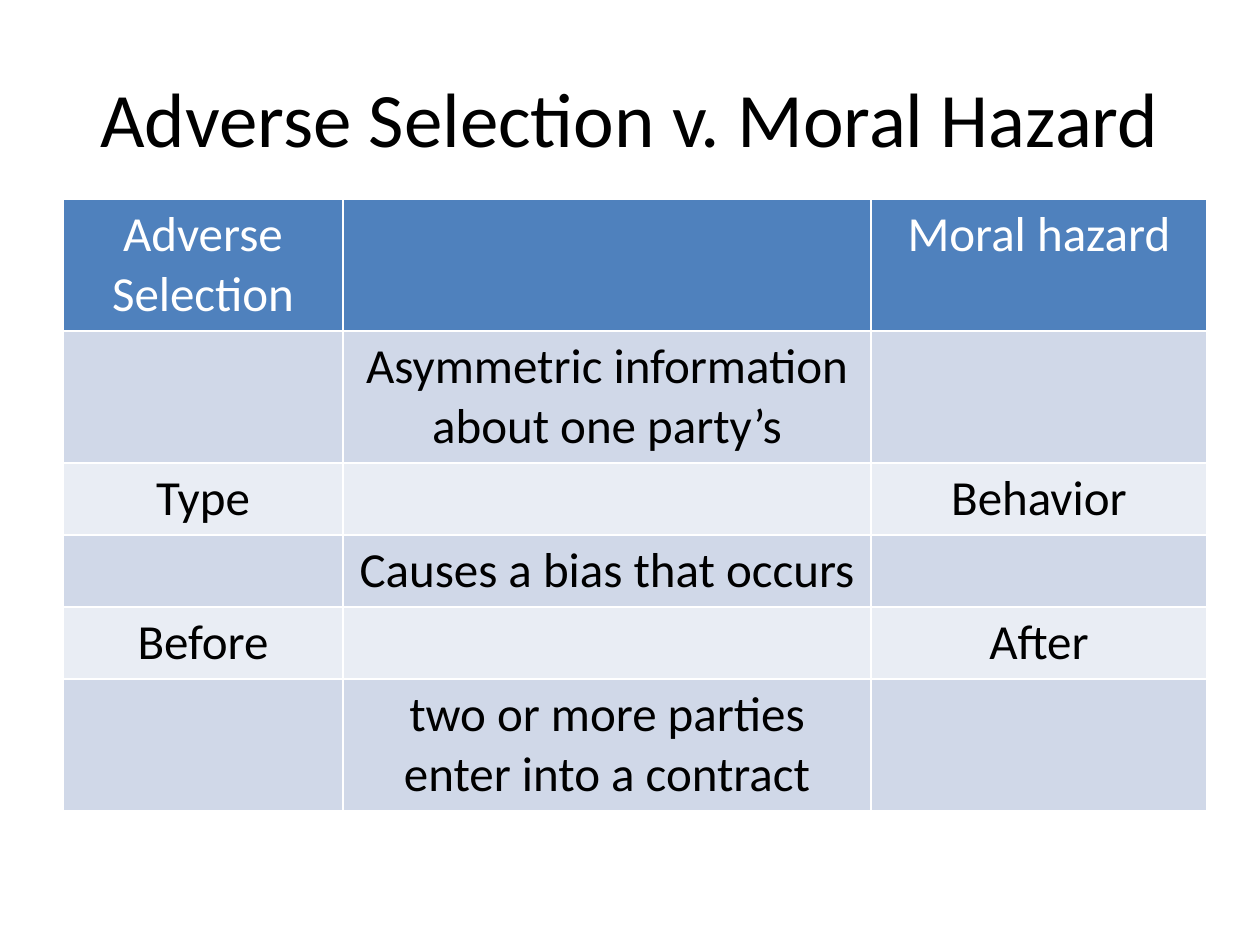
from dataclasses import dataclass

from pptx import Presentation
from pptx.dml.color import RGBColor
from pptx.enum.text import MSO_ANCHOR, PP_ALIGN
from pptx.slide import Slide
from pptx.text.text import TextFrame
from pptx.util import Emu, Pt

EMU_PER_PX = 914400 / 126
FONT = "Calibri"
WHITE = "FFFFFF"
BLACK = "000000"
HEADER_FILL = "4F81BD"
BAND_FILLS = ("E9EDF4", "D0D8E8")
COLUMN_WIDTHS = (280, 528, 336)
SINGLE_LINE = 72
DOUBLE_LINE = 132


@dataclass
class ComparisonRow:
    left: str
    shared: str
    right: str
    height: int = SINGLE_LINE


ROWS = [
    ComparisonRow("Adverse Selection", "", "Moral hazard", DOUBLE_LINE),
    ComparisonRow("", "Asymmetric information about one party’s", "", DOUBLE_LINE),
    ComparisonRow("Type", "", "Behavior"),
    ComparisonRow("", "Causes a bias that occurs", ""),
    ComparisonRow("Before", "", "After"),
    ComparisonRow("", "two or more parties enter into a contract", "", DOUBLE_LINE),
]


def px(length: int) -> Emu:
    return Emu(round(length * EMU_PER_PX))


def color(value: str) -> RGBColor:
    return RGBColor.from_string(value)


def write_text(text_frame: TextFrame, text: str, size: int, text_color: str) -> None:
    text_frame.text = text
    paragraph = text_frame.paragraphs[0]
    paragraph.alignment = PP_ALIGN.CENTER
    for run in paragraph.runs:
        run.font.name = FONT
        run.font.size = Pt(size)
        run.font.bold = False
        run.font.color.rgb = color(text_color)


def draw_title(slide: Slide, text: str) -> None:
    shape = slide.shapes.add_textbox(px(63), px(38), px(1134), px(157))
    text_frame = shape.text_frame
    text_frame.word_wrap = True
    text_frame.vertical_anchor = MSO_ANCHOR.MIDDLE
    write_text(text_frame, text, 44, BLACK)


def draw_comparison(slide: Slide, rows: list[ComparisonRow]) -> None:
    height = sum(row.height for row in rows)
    shape = slide.shapes.add_table(
        len(rows), len(COLUMN_WIDTHS), px(63), px(199), px(sum(COLUMN_WIDTHS)), px(height)
    )
    table = shape.table
    for column, width in zip(table.columns, COLUMN_WIDTHS):
        column.width = px(width)
    for index, row in enumerate(rows):
        table.rows[index].height = px(row.height)
        is_header = index == 0
        fill = HEADER_FILL if is_header else BAND_FILLS[index % 2]
        text_color = WHITE if is_header else BLACK
        for cell, text in zip(table.rows[index].cells, (row.left, row.shared, row.right)):
            cell.fill.solid()
            cell.fill.fore_color.rgb = color(fill)
            write_text(cell.text_frame, text, 28, text_color)


def main() -> None:
    presentation = Presentation()
    presentation.slide_width = px(1260)
    presentation.slide_height = px(945)
    slide = presentation.slides.add_slide(presentation.slide_layouts[6])
    draw_title(slide, "Adverse Selection v. Moral Hazard")
    draw_comparison(slide, ROWS)
    presentation.save("out.pptx")


if __name__ == "__main__":
    main()
